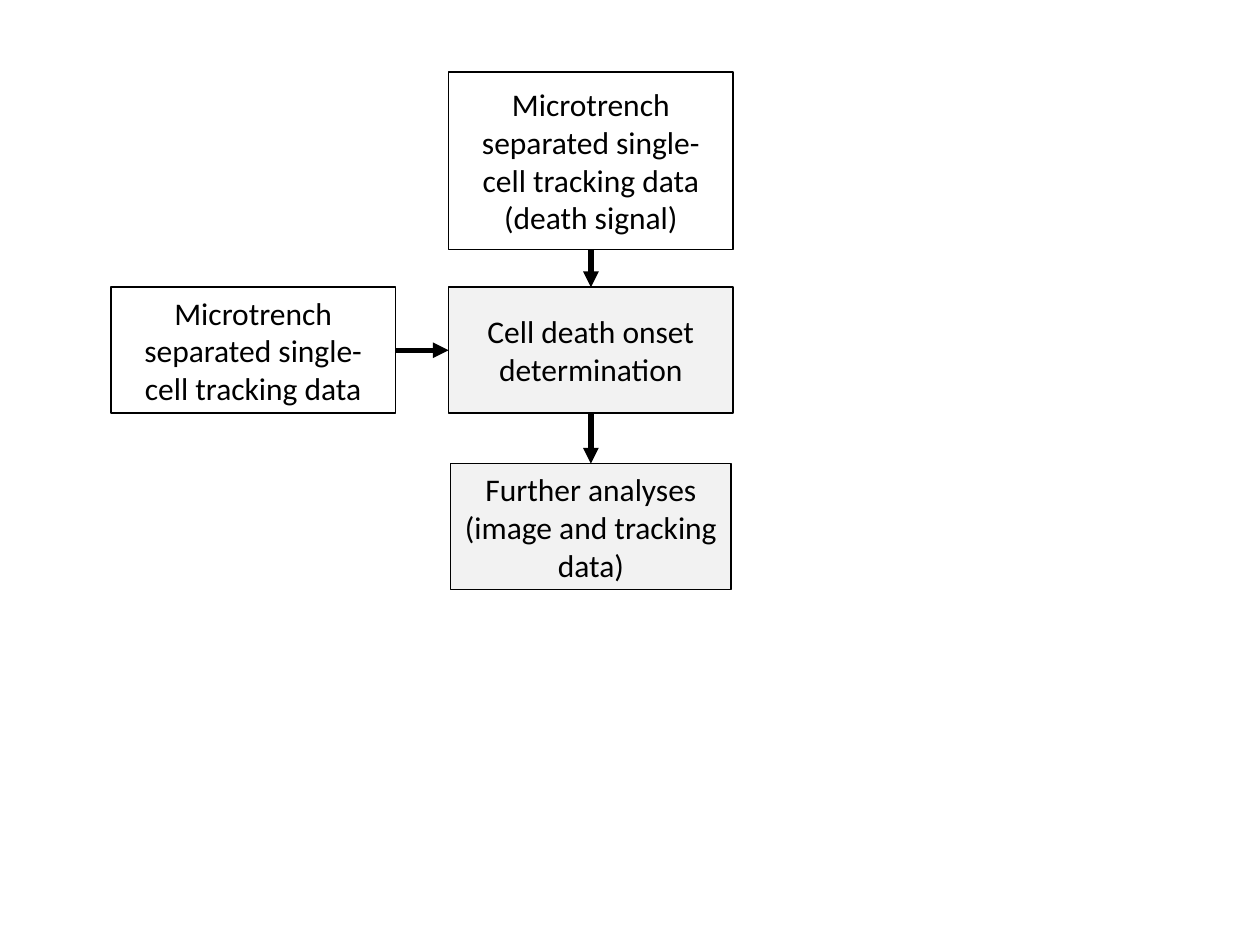
from pptx import Presentation
from pptx import util as u
from pptx.dml.color import RGBColor
from pptx.enum import shapes, text
from pptx.oxml import parse_xml
from pptx.oxml.ns import nsdecls

WHITE = RGBColor(0xFF, 0xFF, 0xFF)
GREY = RGBColor(0xF2, 0xF2, 0xF2)
BLACK = RGBColor(0, 0, 0)

SLIDE_WIDTH, SLIDE_HEIGHT = 10, 7.5
COLUMN_CENTRES = (2.01, 4.69)
ROW_TOPS = (0.57, 2.28, 3.68)
BOX_WIDTH, BOX_HEIGHT = 2.26, 1
TOP, LEFT, BOTTOM, RIGHT = range(4)


def write_text(shape, content, size=18, font="Calibri", color=BLACK,
               align=text.PP_ALIGN.CENTER, anchor=text.MSO_ANCHOR.MIDDLE):
    frame = shape.text_frame
    frame.word_wrap = True
    frame.vertical_anchor = anchor
    paragraph = frame.paragraphs[0]
    paragraph.alignment = align
    run = paragraph.add_run()
    run.text = content
    run.font.size = u.Pt(size)
    run.font.name = font
    run.font.color.rgb = color


def add_box(slide, column, row, content, fill=WHITE,
            width=BOX_WIDTH, height=BOX_HEIGHT):
    left = COLUMN_CENTRES[column] - width / 2
    shape = slide.shapes.add_shape(
        shapes.MSO_SHAPE.RECTANGLE, u.Inches(left), u.Inches(ROW_TOPS[row]),
        u.Inches(width), u.Inches(height))
    shape.shadow.inherit = False
    shape.fill.solid()
    shape.fill.fore_color.rgb = fill
    shape.line.color.rgb = BLACK
    shape.line.width = u.Pt(1)
    write_text(shape, content)
    return shape


def add_arrow(slide, source, source_side, target, target_side):
    arrow = slide.shapes.add_connector(shapes.MSO_CONNECTOR.STRAIGHT, 0, 0, 0, 0)
    arrow.begin_connect(source, source_side)
    arrow.end_connect(target, target_side)
    arrow.line.color.rgb = BLACK
    arrow.line.width = u.Pt(3)
    arrow.line._get_or_add_ln().append(
        parse_xml(f'<a:tailEnd {nsdecls("a")} type="triangle"/>'))
    arrow._element.spPr.append(parse_xml(f'<a:effectLst {nsdecls("a")}/>'))


def main():
    presentation = Presentation()
    presentation.slide_width = u.Inches(SLIDE_WIDTH)
    presentation.slide_height = u.Inches(SLIDE_HEIGHT)
    slide = presentation.slides.add_slide(presentation.slide_layouts[6])

    tracking = "Microtrench separated single-cell tracking data"
    tracking_box = add_box(slide, 0, 1, tracking)
    onset_box = add_box(slide, 1, 1, "Cell death onset determination", fill=GREY)
    analyses_box = add_box(slide, 1, 2, "Further analyses (image and tracking data)",
                           fill=GREY, width=2.23)
    signal_box = add_box(slide, 1, 0, f"{tracking} (death signal)", height=1.41)

    add_arrow(slide, onset_box, BOTTOM, analyses_box, TOP)
    add_arrow(slide, signal_box, BOTTOM, onset_box, TOP)
    add_arrow(slide, tracking_box, RIGHT, onset_box, LEFT)

    presentation.save("out.pptx")


main()
